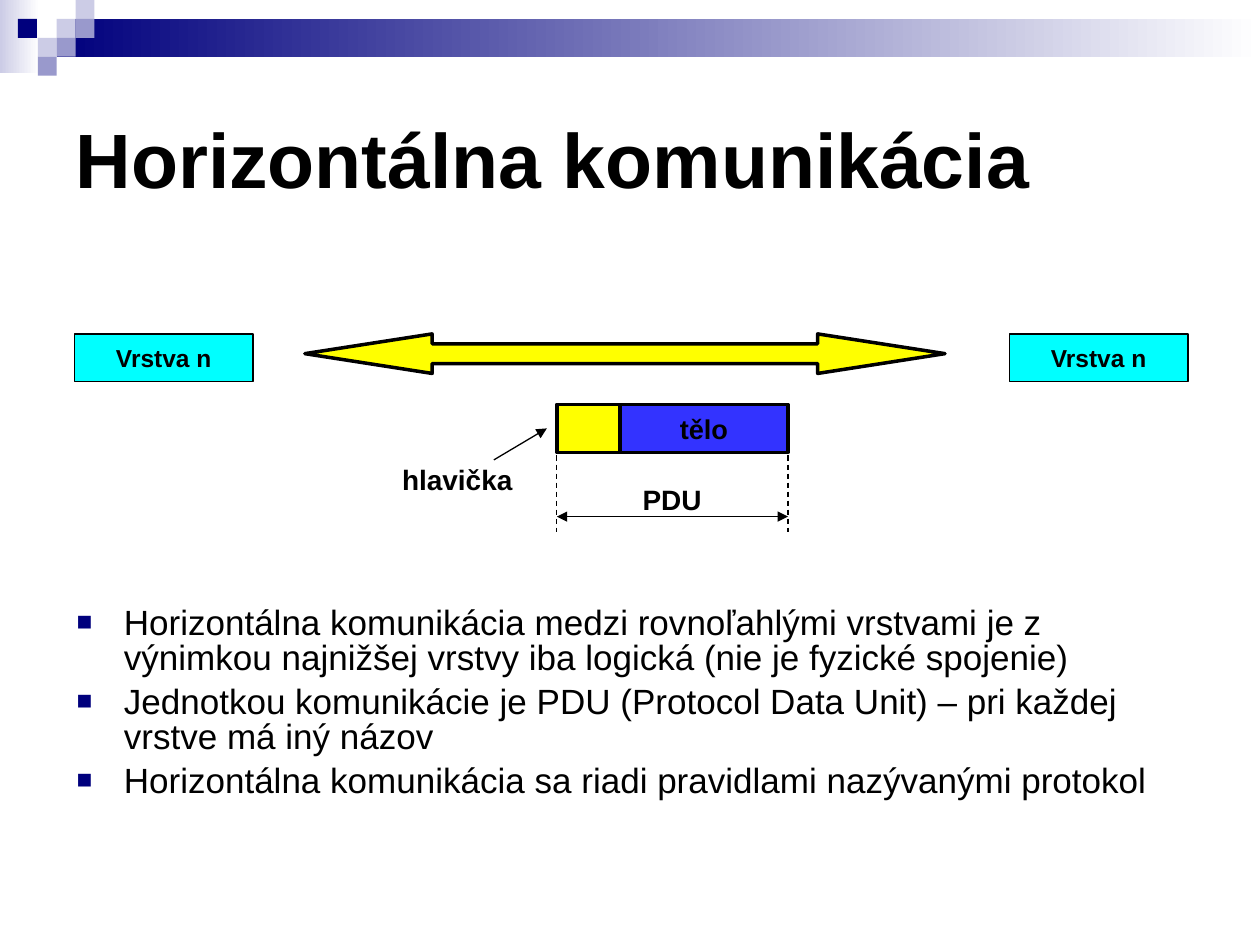
from lxml.etree import SubElement
from pptx import Presentation
from pptx.dml.color import RGBColor
from pptx.enum.dml import MSO_LINE
from pptx.enum.shapes import MSO_CONNECTOR, MSO_SHAPE
from pptx.enum.text import MSO_ANCHOR, PP_ALIGN
from pptx.oxml.ns import qn
from pptx.util import Pt

BLACK = RGBColor(0, 0, 0)
WHITE = RGBColor(255, 255, 255)
NAVY = RGBColor(0x00, 0x00, 0x7D)
MID = RGBColor(0x99, 0x99, 0xCC)
PALE = RGBColor(0xCC, 0xCC, 0xE6)
CYAN = RGBColor(0, 255, 255)
YELLOW = RGBColor(255, 255, 0)
BLUE = RGBColor(0x33, 0x33, 0xFF)
FONT = "Arial"

TITLE = "Horizontálna komunikácia"
POINTS = [
    "Horizontálna komunikácia medzi rovnoľahlými vrstvami je z výnimkou "
    "najnižšej vrstvy iba logická (nie je fyzické spojenie)",
    "Jednotkou komunikácie je PDU (Protocol Data Unit) – pri každej vrstve má iný názov",
    "Horizontálna komunikácia sa riadi pravidlami nazývanými protokol",
]
CELL = 10.8
BANDS = [(0, 0, 22.5, 42, PALE), (3 * CELL, CELL, 720 - 3 * CELL, 2 * CELL, NAVY)]
TILES = [(3, 1, PALE), (4, 0, PALE), (4, 1, MID), (2, 2, PALE),
         (0.95, 1, NAVY), (3, 2, MID), (2, 3, MID)]
LAYERS = [42.5, 576.7]
LABELS = [("hlavička", 195.8, 260.6, 131, MSO_ANCHOR.MIDDLE),
          ("PDU", 354.2, 272.2, 59.8, MSO_ANCHOR.TOP)]
LEFT, RIGHT, DIM, FOOT = 318.2, 450.3, 295.2, 303.8


def write(para, text, size, bold=True):
    run = para.add_run()
    run.text = text
    font = run.font
    font.name, font.size, font.bold = FONT, Pt(size), bold
    font.color.rgb = BLACK


def shape(kind, x, y, w, h, fill, line=0, text="", size=14):
    item = slide.shapes.add_shape(kind, Pt(x), Pt(y), Pt(w), Pt(h))
    item.shadow.inherit = False
    item.fill.solid()
    item.fill.fore_color.rgb = fill
    if line:
        item.line.color.rgb = BLACK
        item.line.width = Pt(line)
    else:
        item.line.fill.background()
    if text:
        frame = item.text_frame
        frame.vertical_anchor = MSO_ANCHOR.MIDDLE
        para = frame.paragraphs[0]
        para.alignment = PP_ALIGN.CENTER
        write(para, text, size)
    return item


def box(x, y, w, h, anchor):
    frame = slide.shapes.add_textbox(Pt(x), Pt(y), Pt(w), Pt(h)).text_frame
    frame.word_wrap = True
    frame.vertical_anchor = anchor
    return frame


def link(x1, y1, x2, y2, ends=(), dash=False):
    item = slide.shapes.add_connector(
        MSO_CONNECTOR.STRAIGHT, Pt(x1), Pt(y1), Pt(x2), Pt(y2))
    item.line.color.rgb = BLACK
    item.line.width = Pt(0.75)
    if dash:
        item.line.dash_style = MSO_LINE.DASH
    props = item.line._get_or_add_ln()
    for end in ends:
        SubElement(props, qn("a:" + end), type="triangle")
    SubElement(item._element.spPr, qn("a:effectLst"))
    return item


def bullet(para):
    props = para._p.get_or_add_pPr()
    props.set("marL", str(Pt(27)))
    props.set("indent", str(Pt(-27)))
    color = SubElement(props, qn("a:buClr"))
    SubElement(color, qn("a:srgbClr"), val=str(NAVY))
    SubElement(props, qn("a:buSzPct"), val="75000")
    SubElement(props, qn("a:buFont"), typeface=FONT)
    SubElement(props, qn("a:buChar"), char="■")


deck = Presentation()
deck.slide_width, deck.slide_height = Pt(720), Pt(540)
slide = deck.slides.add_slide(deck.slide_layouts[5])

for *place, color in BANDS:
    band = shape(MSO_SHAPE.RECTANGLE, *place, color)
    band.fill.gradient()
    band.fill.gradient_angle = 0
    for stop, tint, pos in zip(band.fill.gradient_stops, (color, WHITE), (0, 1)):
        stop.color.rgb = tint
        stop.position = pos
for col, row, color in TILES:
    shape(MSO_SHAPE.RECTANGLE, col * CELL, row * CELL, CELL, CELL, color)

title = slide.shapes.title
title.left, title.top, title.width, title.height = Pt(36), Pt(36), Pt(648), Pt(108)
title.text_frame.vertical_anchor = MSO_ANCHOR.MIDDLE
head = title.text_frame.paragraphs[0]
head.alignment = PP_ALIGN.LEFT
write(head, TITLE, 44)

body = box(36.7, 343.4, 648, 146, MSO_ANCHOR.TOP)
for i, text in enumerate(POINTS):
    para = body.add_paragraph() if i else body.paragraphs[0]
    para.line_spacing = 0.84
    para.space_before = Pt(5 if i else 0)
    bullet(para)
    write(para, text, 20, False)

for x in LAYERS:
    shape(MSO_SHAPE.RECTANGLE, x, 190.8, 102.2, 27.4, CYAN, 0.75, "Vrstva n")
arrow = shape(MSO_SHAPE.LEFT_RIGHT_ARROW, 174.2, 190.8, 365.8, 22.6, YELLOW, 2)
arrow.adjustments[0], arrow.adjustments[1] = 0.5, 3.22

SPLIT = LEFT + 36
main = shape(MSO_SHAPE.RECTANGLE, SPLIT, 231.1, RIGHT - SPLIT, 27.4, BLUE, 2, "tělo", 15.5)
lead = shape(MSO_SHAPE.RECTANGLE, LEFT, 231.1, SPLIT - LEFT, 27.4, YELLOW, 2)

link(282.2, 262.8, 312.5, 244.8, ["tailEnd"])
link(LEFT, DIM, RIGHT, DIM, ["headEnd", "tailEnd"])
for x, part, side in [(LEFT, lead, 1), (RIGHT, main, 3)]:
    link(x, 244.8, x, FOOT, dash=True).begin_connect(part, side)

for text, x, y, w, anchor in LABELS:
    para = box(x, y, w, 26.6, anchor).paragraphs[0]
    para.alignment = PP_ALIGN.CENTER
    write(para, text, 16)

deck.save("out.pptx")
